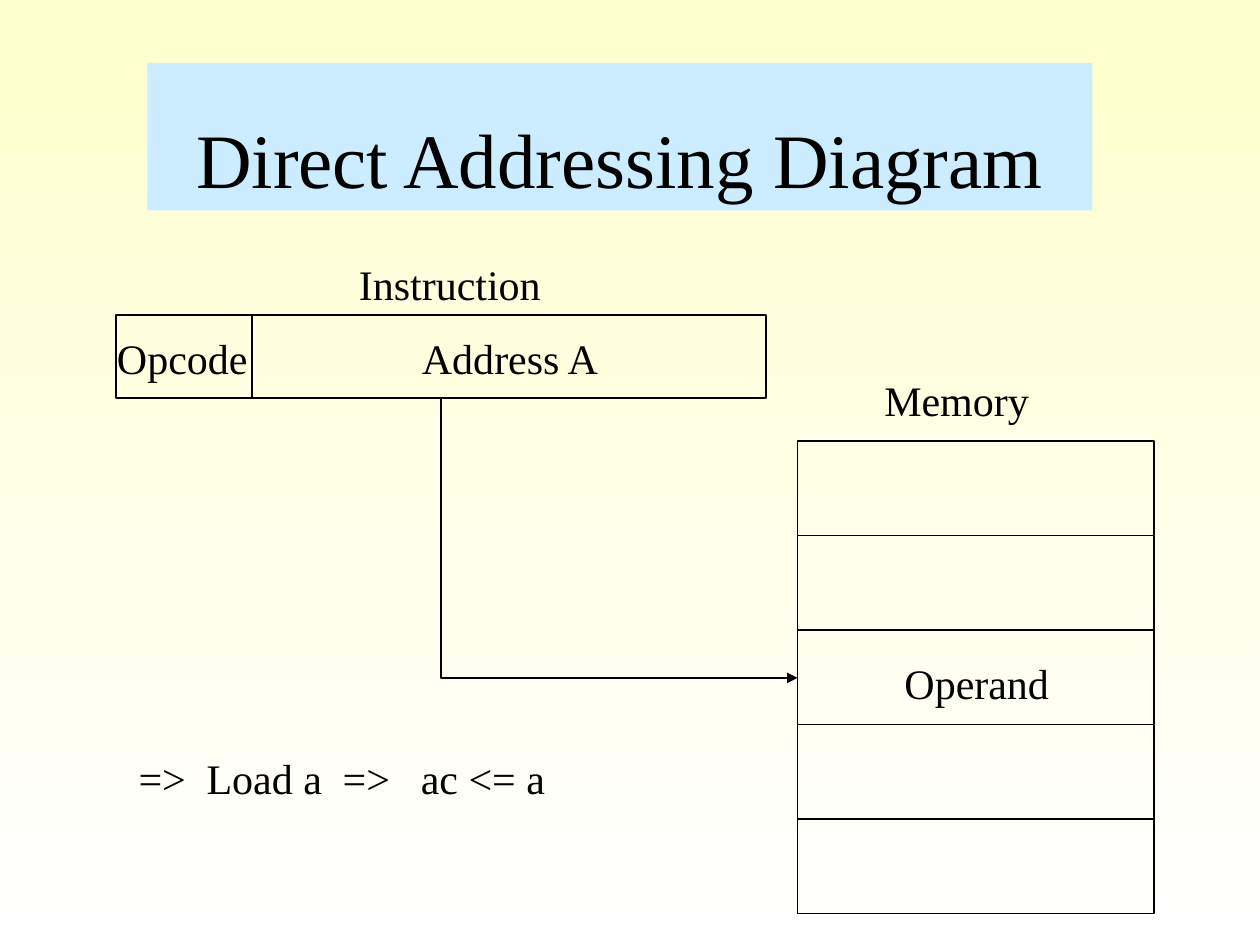
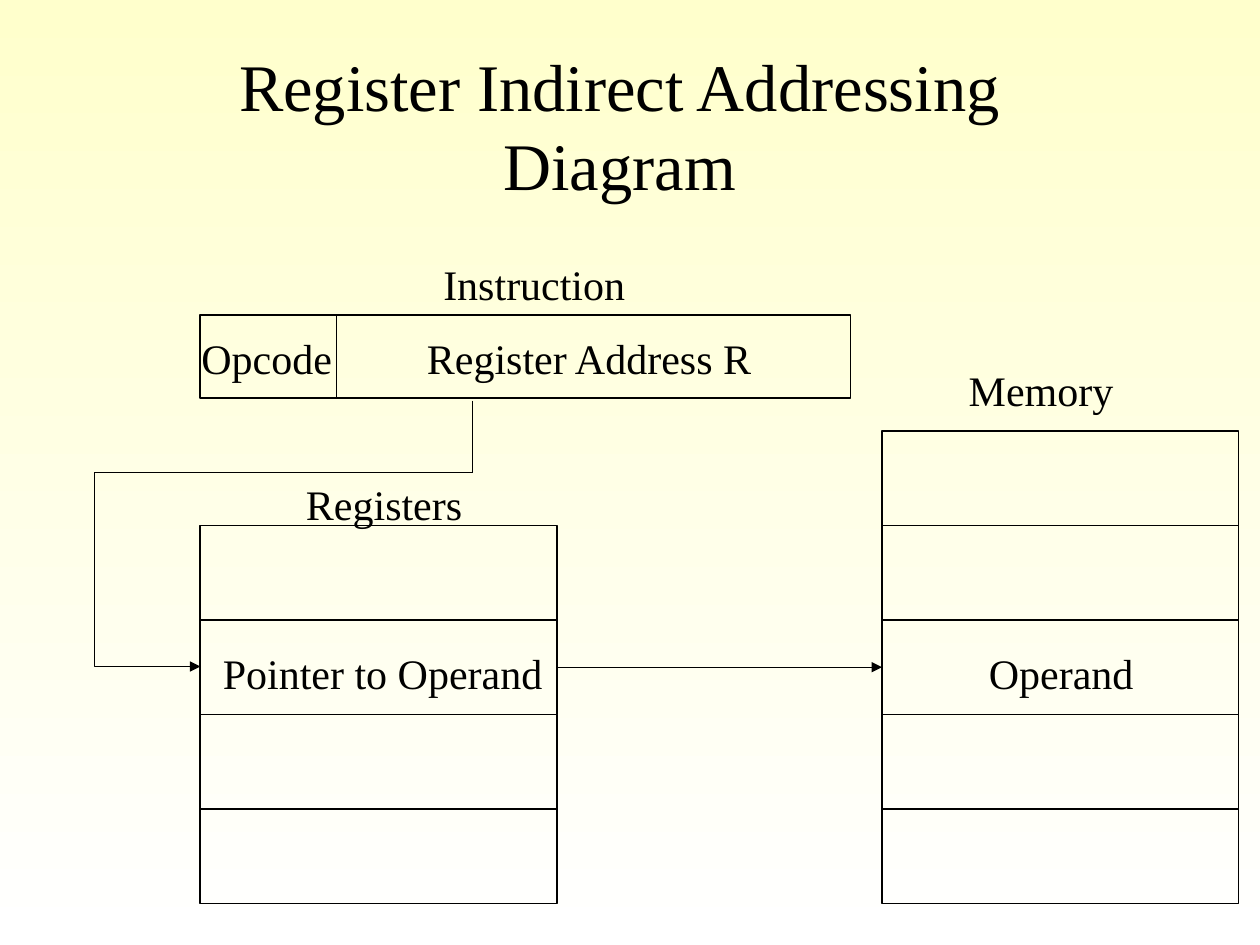
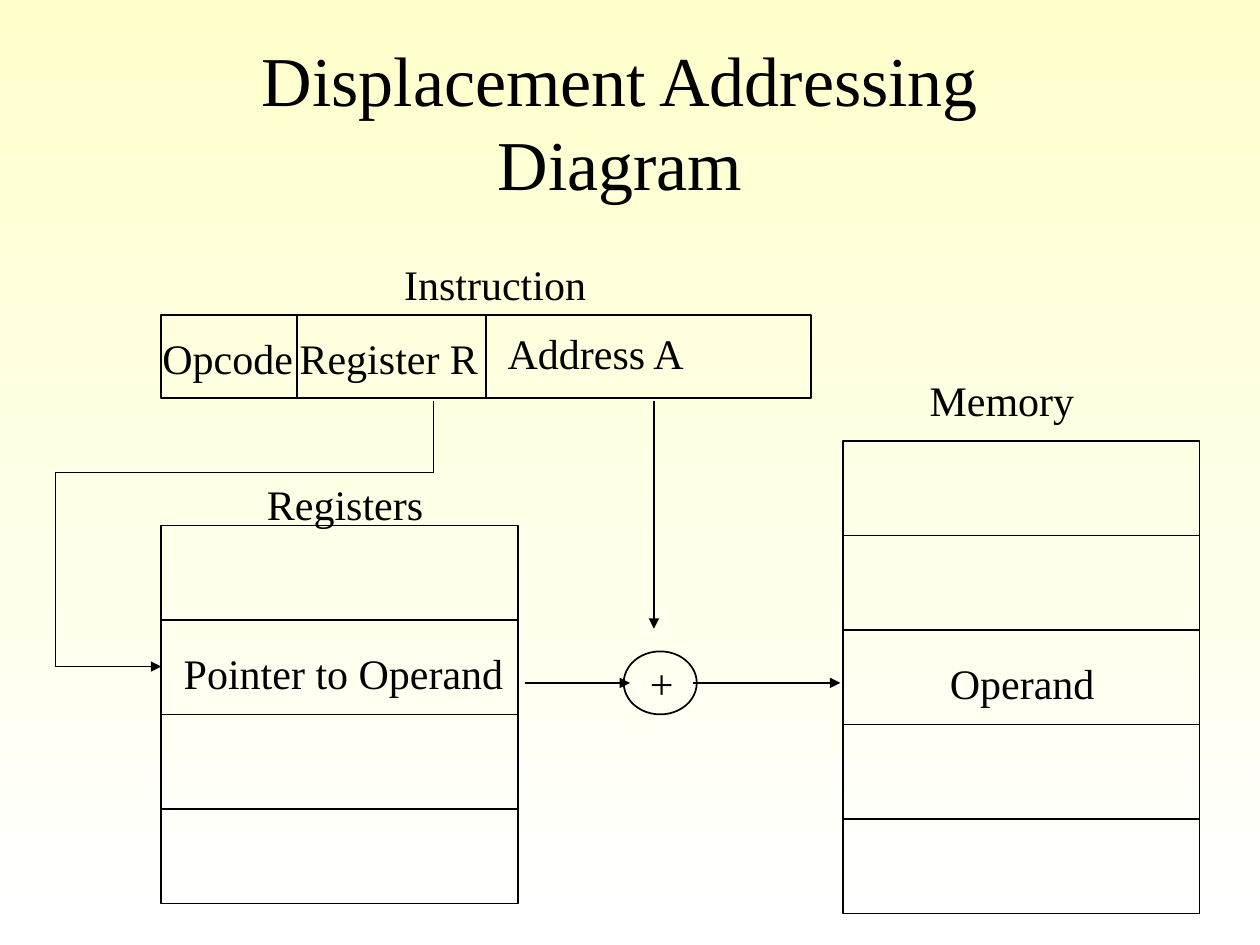
from lxml.etree import SubElement
from pptx import Presentation
from pptx.dml.color import RGBColor
from pptx.enum.shapes import MSO_CONNECTOR, MSO_SHAPE
from pptx.enum.text import MSO_ANCHOR, MSO_AUTO_SIZE, PP_ALIGN
from pptx.oxml.ns import qn
from pptx.util import Inches, Pt

BLACK = RGBColor(0x00, 0x00, 0x00)
CREAM = RGBColor(0xFF, 0xFF, 0xCC)
WHITE = RGBColor(0xFF, 0xFF, 0xFF)
PALE_BLUE = RGBColor(0xCC, 0xEC, 0xFF)
FONT = "Times New Roman"
CELL_WIDTH = 2.83
CELL_HEIGHT = 0.75
REGISTERS_TOP = 4.17
LABEL_WIDTHS = {
    "Instruction": 1.66, "Opcode": 1.25, "Address A": 1.62, "Register R": 1.64,
    "Register Address R": 2.8, "Memory": 1.36, "Operand": 1.36,
    "Registers": 1.45, "Pointer to Operand": 2.75, "+": 0.39,
}


def add_text(slide, text, left, top, width, height=0.5, size=24):
    box = slide.shapes.add_textbox(Inches(left), Inches(top), Inches(width), Inches(height))
    paragraph = box.text_frame.paragraphs[0]
    paragraph.text = text
    paragraph.font.name = FONT
    paragraph.font.size = Pt(size)
    paragraph.font.color.rgb = BLACK
    return box


def style_outline(shape, width=1, arrow=False):
    shape.line.color.rgb = BLACK
    shape.line.width = Pt(width)
    properties = shape._element.spPr
    if arrow:
        SubElement(properties.get_or_add_ln(), qn("a:tailEnd"), type="triangle")
    SubElement(properties, qn("a:effectLst"))


presentation = Presentation()
presentation.slide_width = Inches(10)
presentation.slide_height = Inches(7.5)

background = presentation.slide_master.background.fill
background.gradient()
background.gradient_angle = 270
for stop, color in zip(background.gradient_stops, (CREAM, WHITE)):
    stop.color.rgb = color

diagrams = [
    {
        "title": "Direct Addressing Diagram", "size": 44,
        "left": 0.92, "memory_top": 3.5, "registers": False,
        "fields": [("Address A", 3.25, 2.59)],
        "elbow": [(3.5, 3.16), (3.5, 5.38), (6.33, 5.38)],
        "lines": [],
    },
    {
        "title": "Register Indirect Addressing Diagram", "size": 38,
        "left": 1.59, "memory_top": 3.42, "registers": True,
        "fields": [("Register Address R", 3.29, 2.59)],
        "elbow": [(0.75, 3.75), (0.75, 5.29), (1.59, 5.29)],
        "lines": [],
    },
    {
        "title": "Displacement Addressing Diagram", "size": 40,
        "left": 1.28, "memory_top": 3.5, "registers": True,
        "fields": [("Register R", 2.28, 2.59), ("Address A", 3.93, 2.55), ("+", 5.06, 5.17)],
        "elbow": [(0.44, 3.75), (0.44, 5.29), (1.28, 5.29)],
        "lines": [
            (3.86, 2.51, 3.86, 3.16, 1, False),
            (5.19, 3.18, 5.19, 4.99, 1, True),
            (5.5, 5.42, 6.67, 5.42, 0.75, True),
            (4.17, 5.42, 5, 5.42, 0.75, True),
        ],
    },
]

slides = []
for diagram in diagrams:
    slide = presentation.slides.add_slide(presentation.slide_layouts[6])
    slides.append(slide)
    left = diagram["left"]
    memory_left = left + 5.41
    memory_top = diagram["memory_top"]

    title = add_text(slide, diagram["title"], 1.17, 0.5, 7.5, 1.17, diagram["size"])
    title.text_frame.word_wrap = True
    title.text_frame.vertical_anchor = MSO_ANCHOR.BOTTOM
    title.text_frame.paragraphs[0].alignment = PP_ALIGN.CENTER
    if diagram is diagrams[0]:
        title.fill.solid()
        title.fill.fore_color.rgb = PALE_BLUE

    outlines = [(MSO_SHAPE.RECTANGLE, left, 2.5, 5.16, 0.66)]
    for row in range(5):
        outlines.append((MSO_SHAPE.RECTANGLE, memory_left, memory_top + row * CELL_HEIGHT,
                         CELL_WIDTH, CELL_HEIGHT))
    labels = diagram["fields"] + [
        ("Opcode", left - 0.09, 2.59),
        ("Instruction", left + 1.83, 2),
        ("Memory", memory_left + 0.59, memory_top - 0.58),
        ("Operand", memory_left + 0.75, memory_top + 1.67),
    ]
    lines = [(left + 1.08, 2.51, left + 1.08, 3.16, 1, False)] + diagram["lines"]

    if diagram["registers"]:
        for row in range(4):
            outlines.append((MSO_SHAPE.RECTANGLE, left, REGISTERS_TOP + row * CELL_HEIGHT,
                             CELL_WIDTH, CELL_HEIGHT))
        labels += [("Registers", left + 0.74, 3.75), ("Pointer to Operand", left + 0.08, 5.09)]
        lines += [
            (left + 2.16, 3.18, left + 2.16, 3.75, 1, False),
            (left + 2.16, 3.75, left - 0.84, 3.75, 1, False),
        ]
    if diagram is diagrams[2]:
        outlines.append((MSO_SHAPE.OVAL, 4.95, 5.17, 0.58, 0.5))

    boxes = []
    for kind, *place in outlines:
        box = slide.shapes.add_shape(kind, *map(Inches, place))
        box.fill.background()
        style_outline(box)
        boxes.append(box)

    for text, label_left, label_top in labels:
        label = add_text(slide, text, label_left, label_top, LABEL_WIDTHS[text])
        label.text_frame.word_wrap = False
        label.text_frame.auto_size = MSO_AUTO_SIZE.SHAPE_TO_FIT_TEXT

    for *ends, width, arrow in lines:
        connector = slide.shapes.add_connector(MSO_CONNECTOR.STRAIGHT, *map(Inches, ends))
        style_outline(connector, width, arrow)

    points = [(Inches(x), Inches(y)) for x, y in diagram["elbow"]]
    builder = slide.shapes.build_freeform(*points[0])
    builder.add_line_segments(points[1:], close=False)
    elbow = builder.convert_to_shape()
    elbow.fill.background()
    style_outline(elbow, arrow=True)

    if diagram is diagrams[1]:
        operand_cell, pointer_cell = boxes[3], boxes[7]
        pointer_arrow = slide.shapes.add_connector(MSO_CONNECTOR.STRAIGHT, 0, 0, 0, 0)
        pointer_arrow.begin_connect(pointer_cell, 3)
        pointer_arrow.end_connect(operand_cell, 1)
        style_outline(pointer_arrow, 0.75, True)

example = add_text(slides[0], "=>\tLoad a\t=>\tac <= a", 0, 5.92, 4.44)
example.text_frame.word_wrap = True
example.text_frame.margin_left = Inches(1.1)
example.text_frame.margin_right = 0
properties = example.text_frame.paragraphs[0]._p.pPr
tab_stops = SubElement(properties, qn("a:tabLst"))
properties.insert(0, tab_stops)
for position in (0.54, 1.62, 2.24):
    SubElement(tab_stops, qn("a:tab"), pos=str(Inches(position)), algn="l")

presentation.save("out.pptx")
